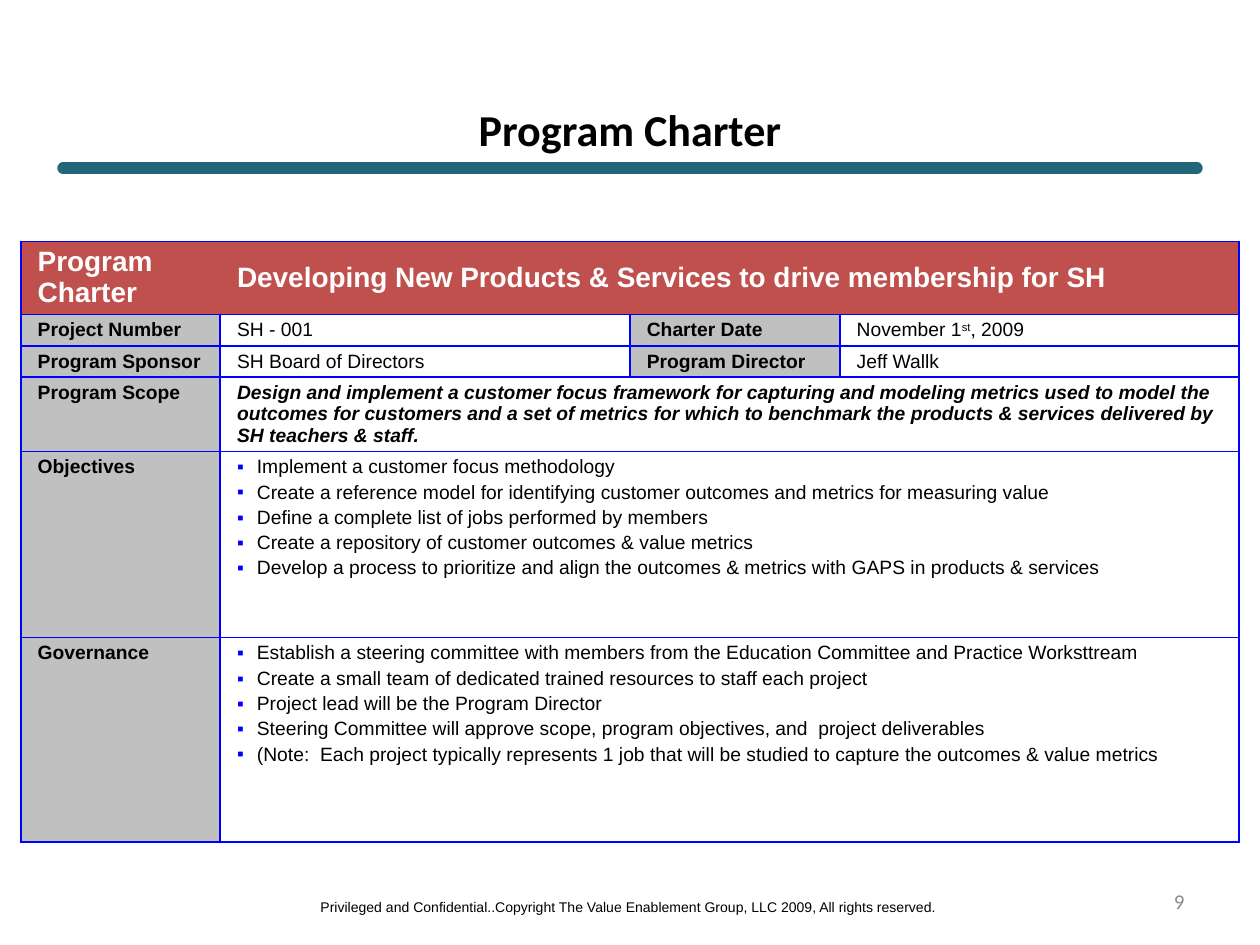
import pptx
import pptx.dml.color
import pptx.enum.shapes
import pptx.enum.text
import pptx.oxml
import pptx.oxml.ns
import pptx.util
from lxml import etree
from pptx.dml.color import RGBColor
from pptx.enum.text import MSO_ANCHOR, PP_ALIGN
from pptx.util import Cm

BLACK = RGBColor(0x00, 0x00, 0x00)
WHITE = RGBColor(0xFF, 0xFF, 0xFF)
TEAL = RGBColor(0x21, 0x67, 0x78)
RED = RGBColor(0xC0, 0x50, 0x4D)
SILVER = RGBColor(0xC0, 0xC0, 0xC0)
GRAY = RGBColor(0x8C, 0x8C, 0x8C)
BLUE = RGBColor(0x00, 0x00, 0xFF)

TITLE = "Program Charter"
FOOTER = ("Privileged and Confidential..Copyright The Value Enablement Group, "
          "LLC 2009, All rights reserved.")
PAGE_NUMBER = "9"

HEADER = ("Program Charter",
          "Developing New Products & Services to drive membership for SH")
FACTS = [
    ("Project Number", "SH - 001", "Charter Date", ("November 1", "st", ", 2009")),
    ("Program Sponsor", "SH Board of Directors", "Program Director", "Jeff Wallk"),
]
SCOPE = ("Program Scope",
         "Design and implement a customer focus framework for capturing and modeling "
         "metrics used to model the outcomes for customers and a set of metrics for which "
         "to benchmark the products & services delivered by SH teachers & staff.")
LISTS = [
    ("Objectives", [
        "Implement a customer focus methodology",
        "Create a reference model for identifying customer outcomes and metrics for measuring value",
        "Define a complete list of jobs performed by members",
        "Create a repository of customer outcomes & value metrics",
        "Develop a process to prioritize and align the outcomes & metrics with GAPS in products & services",
    ]),
    ("Governance", [
        "Establish a steering committee with members from the Education Committee and Practice Worksttream",
        "Create a small team of dedicated trained resources to staff each project",
        "Project lead will be the Program Director",
        "Steering Committee will approve scope, program objectives, and  project deliverables",
        "(Note:  Each project typically represents 1 job that will be studied to capture the outcomes & value metrics",
    ]),
]
COLUMN_WIDTHS = [4.02, 8.26, 4.23, 8.05]
ROW_HEIGHTS = [1.47, 0.63, 0.63, 1.5, 3.75, 4.12]


def add_span(para, text, size=11, color=BLACK, font="Arial", bold=False,
             italic=False, superscript=False):
    span = para.add_run()
    span.text = text
    span.font.size = pptx.util.Pt(size)
    span.font.name = font
    span.font.bold = bold
    span.font.italic = italic
    span.font.color.rgb = color
    if superscript:
        span.font._element.set("baseline", "30000")


def add_child(parent, tag, **attributes):
    child = etree.SubElement(parent, pptx.oxml.ns.qn(tag))
    for name, value in attributes.items():
        child.set(name, str(value))
    return child


def add_border(cell, sides):
    """Draw blue edges on the sides named by the letters L, R, T and B."""
    properties = cell._tc.get_or_add_tcPr()
    for side in "LRTB":
        if side in sides:
            edge = add_child(properties, f"a:ln{side}", w=pptx.util.Pt(1))
            fill = add_child(edge, "a:solidFill")
            add_child(fill, "a:srgbClr", val=BLUE)
        else:
            add_child(add_child(properties, f"a:ln{side}", w=0), "a:noFill")


def style_cell(cell, fill=None, sides="LRTB", anchor=MSO_ANCHOR.TOP):
    cell.margin_left = cell.margin_right = Cm(0.34)
    cell.margin_top = Cm(0.1)
    cell.margin_bottom = Cm(0.1 if anchor == MSO_ANCHOR.MIDDLE else 0)
    cell.vertical_anchor = anchor
    add_border(cell, sides)
    if fill is None:
        cell.fill.background()
    else:
        cell.fill.solid()
        cell.fill.fore_color.rgb = fill


def fill_bullets(cell, items):
    for index, item in enumerate(items):
        frame = cell.text_frame
        para = frame.add_paragraph() if index else frame.paragraphs[0]
        properties = para._p.get_or_add_pPr()
        properties.set("marL", str(Cm(0.4)))
        properties.set("indent", str(-Cm(0.4)))
        add_child(add_child(properties, "a:buClr"), "a:srgbClr", val=BLUE)
        add_child(properties, "a:buFont", typeface="Arial")
        add_child(properties, "a:buChar", char="▪")
        if index:
            para.space_before = pptx.util.Pt(2.2)
        add_span(para, item)


def add_box(page, left, top, width, height, text, align, wrap=True, **text_format):
    box = page.shapes.add_textbox(Cm(left), Cm(top), Cm(width), Cm(height))
    frame = box.text_frame
    frame.word_wrap = wrap
    frame.vertical_anchor = MSO_ANCHOR.MIDDLE
    para = frame.paragraphs[0]
    para.alignment = align
    add_span(para, text, **text_format)


def add_rule(page):
    rule = page.shapes.add_connector(pptx.enum.shapes.MSO_CONNECTOR.STRAIGHT,
                                     Cm(1.27), Cm(3.39), Cm(24.13), Cm(3.39))
    rule.line.color.rgb = TEAL
    rule.line.width = pptx.util.Pt(6.5)
    rule.line._get_or_add_ln().set("cap", "rnd")
    add_child(rule._element.spPr, "a:effectLst")


def add_title(page):
    title = page.shapes.title
    title.left, title.top, title.width, title.height = Cm(1.27), Cm(2.11), Cm(22.86), Cm(0.97)
    title.text_frame.auto_size = pptx.enum.text.MSO_AUTO_SIZE.NONE
    title.text_frame.vertical_anchor = MSO_ANCHOR.MIDDLE
    para = title.text_frame.paragraphs[0]
    para.alignment = PP_ALIGN.CENTER
    add_span(para, TITLE, size=25.2, font="Calibri", bold=True)


def add_charter(page):
    table = page.shapes.add_table(
        len(ROW_HEIGHTS), len(COLUMN_WIDTHS), Cm(0.42), Cm(4.87),
        Cm(sum(COLUMN_WIDTHS)), Cm(sum(ROW_HEIGHTS))).table
    table.first_row = table.horz_banding = False
    for column, width in zip(table.columns, COLUMN_WIDTHS):
        column.width = Cm(width)
    for row, height in zip(table.rows, ROW_HEIGHTS):
        row.height = Cm(height)

    fact_rows = range(1, 1 + len(FACTS))
    for row in range(len(ROW_HEIGHTS)):
        if row not in fact_rows:
            table.cell(row, 1).merge(table.cell(row, 3))
        for column in range(len(COLUMN_WIDTHS)):
            cell = table.cell(row, column)
            if row == 0:
                sides = "LTB" if column == 0 else "RTB"
                anchor = MSO_ANCHOR.MIDDLE if column else MSO_ANCHOR.TOP
                style_cell(cell, RED, sides, anchor)
            else:
                is_label = column == 0 or (row in fact_rows and column == 2)
                style_cell(cell, SILVER if is_label else None)

    def write(row, column, text, **text_format):
        add_span(table.cell(row, column).text_frame.paragraphs[0], text, **text_format)

    for column, text in enumerate(HEADER):
        write(0, column, text, size=16, color=WHITE, bold=True)
    for row, facts in zip(fact_rows, FACTS):
        for column, fact in enumerate(facts):
            parts = (fact,) if isinstance(fact, str) else fact
            for index, part in enumerate(parts):
                write(row, column, part, bold=column % 2 == 0, superscript=index == 1)
    scope_row = fact_rows.stop
    write(scope_row, 0, SCOPE[0], bold=True)
    write(scope_row, 1, SCOPE[1], bold=True, italic=True)
    for row, (label, items) in enumerate(LISTS, scope_row + 1):
        write(row, 0, label, bold=True)
        fill_bullets(table.cell(row, 1), items)


def main():
    deck = pptx.Presentation()
    deck.slide_width, deck.slide_height = Cm(25.4), Cm(19.05)
    page = deck.slides.add_slide(deck.slide_layouts[5])
    add_rule(page)
    add_box(page, 6.12, 17.97, 13.11, 0.61, FOOTER, PP_ALIGN.CENTER, wrap=False, size=8)
    add_title(page)
    add_box(page, 18.21, 17.65, 5.92, 1.02, PAGE_NUMBER, PP_ALIGN.RIGHT,
            size=12, color=GRAY, font="Calibri")
    add_charter(page)
    deck.save("out.pptx")


if __name__ == "__main__":
    main()
